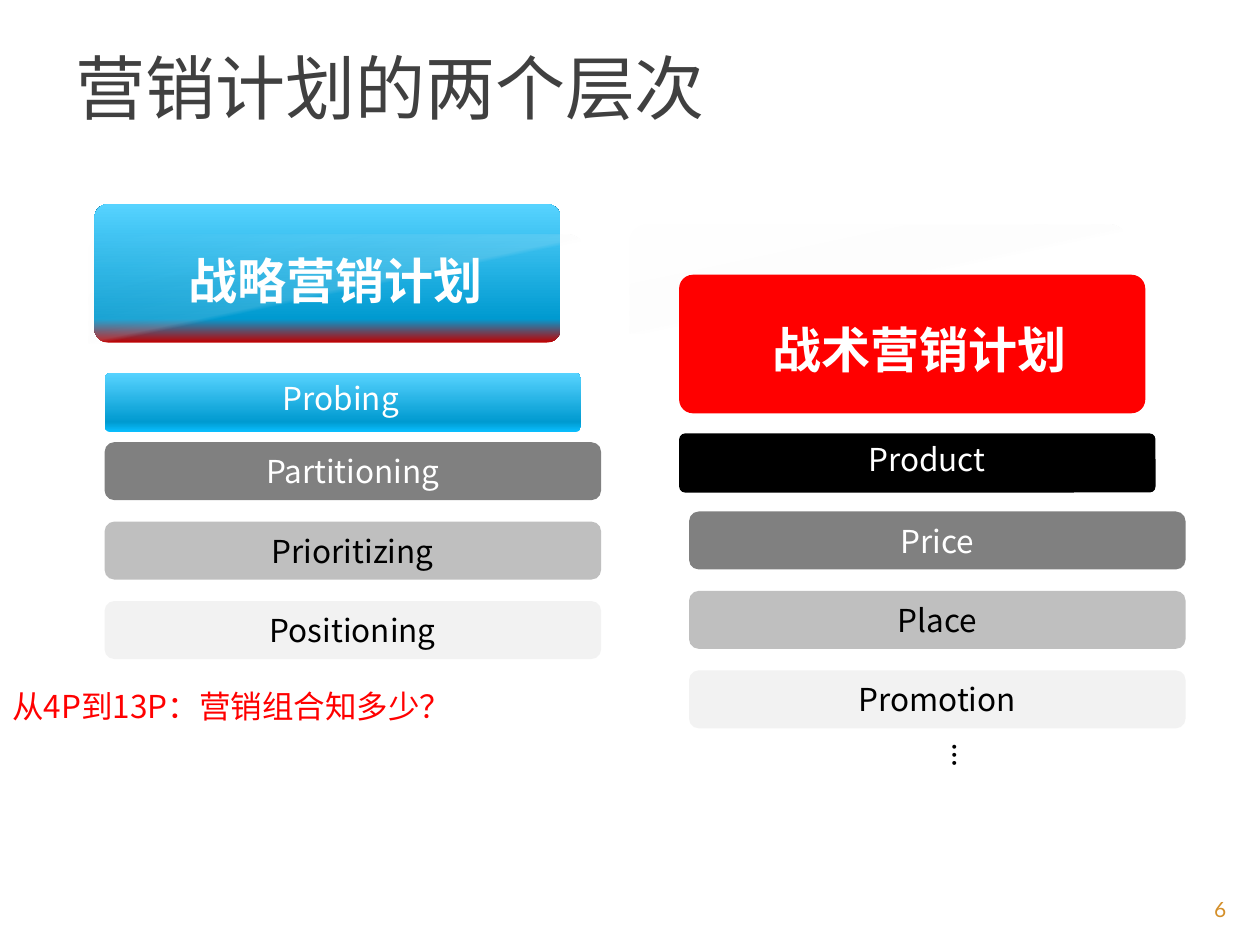
"""Build the slide on the two levels of a marketing plan."""
from lxml import etree
from pptx import Presentation
from pptx.dml.color import RGBColor
from pptx.enum.shapes import MSO_SHAPE
from pptx.enum.text import MSO_ANCHOR, PP_ALIGN
from pptx.oxml.ns import qn
from pptx.util import Pt

ROUNDED, TOP_ROUNDED = MSO_SHAPE.ROUNDED_RECTANGLE, MSO_SHAPE.ROUND_2_SAME_RECTANGLE
LEFT, CENTER, RIGHT = PP_ALIGN.LEFT, PP_ALIGN.CENTER, PP_ALIGN.RIGHT
TOP, MIDDLE = MSO_ANCHOR.TOP, MSO_ANCHOR.MIDDLE

WHITE = RGBColor(0xFF, 0xFF, 0xFF)
BLACK = RGBColor(0x00, 0x00, 0x00)
RED = RGBColor(0xFF, 0x00, 0x00)
DARK_RED = RGBColor(0xC0, 0x00, 0x00)
INK = RGBColor(0x40, 0x40, 0x40)
ORANGE = RGBColor(0xD4, 0x8F, 0x29)
BLUE = RGBColor(0x00, 0x9A, 0xD0)
BRIGHT_BLUE = RGBColor(0x09, 0xBF, 0xFF)
SKY = RGBColor(0x57, 0xD3, 0xFF)
SMOKE = RGBColor(0xF5, 0xF5, 0xF5)
DARK_GRAY = RGBColor(0x80, 0x80, 0x80)
MID_GRAY = RGBColor(0xBF, 0xBF, 0xBF)
PALE_GRAY = RGBColor(0xF2, 0xF2, 0xF2)

CJK, LATIN = "Noto Sans CJK SC", "Lato"
HEADER_GRADIENT = (270, [(0, DARK_RED, 100), (17, BLUE, 100), (100, SKY, 100)])
BAR_GRADIENT = (270, [(0, BRIGHT_BLUE, 100), (17, BLUE, 100), (100, SKY, 100)])
GLOSS_GRADIENT = (78, [(0, WHITE, 0), (50, SMOKE, 14), (52, WHITE, 0)])


def write_text(holder, text, size=18, color=BLACK, font=CJK, bold=False,
               align=CENTER, anchor=TOP, wrap=True):
    frame = holder.text_frame
    frame.word_wrap = wrap
    frame.vertical_anchor = anchor
    paragraph = frame.paragraphs[0]
    paragraph.alignment = align
    run = paragraph.add_run()
    run.text = text
    run.font.size = Pt(size)
    run.font.bold = bold
    run.font.color.rgb = color
    run.font.name = font
    etree.SubElement(run.font._element, qn("a:ea"), typeface=font)


def add_panel(kind, box, fill, corner=None):
    panel = slide.shapes.add_shape(kind, *map(Pt, box))
    panel.shadow.inherit = False
    panel.line.fill.background()
    if corner is not None:
        panel.adjustments[0] = corner
    if isinstance(fill, RGBColor):
        panel.fill.solid()
        panel.fill.fore_color.rgb = fill
        return panel
    angle, stops = fill
    panel.fill.gradient()
    gradient = panel._element.spPr.find(qn("a:gradFill"))
    for child in list(gradient):
        gradient.remove(child)
    stop_list = etree.SubElement(gradient, qn("a:gsLst"))
    for position, color, opacity in stops:
        stop = etree.SubElement(stop_list, qn("a:gs"), pos=str(position * 1000))
        shade = etree.SubElement(stop, qn("a:srgbClr"), val=str(color))
        etree.SubElement(shade, qn("a:alpha"), val=str(opacity * 1000))
    etree.SubElement(gradient, qn("a:lin"), ang=str(angle * 60000), scaled="0")
    return panel


presentation = Presentation()
presentation.slide_width, presentation.slide_height = Pt(720), Pt(540)
slide = presentation.slides.add_slide(presentation.slide_layouts[5])

title = slide.shapes.title
title.left, title.top, title.width, title.height = Pt(36), Pt(21.6), Pt(648), Pt(55.4)
write_text(title, "营销计划的两个层次", size=40, color=INK, align=LEFT, anchor=MIDDLE)

header_size, gloss_size, bar_size = (266.4, 79.2), (283.7, 62.6), (272.2, 33.8)
backdrops = [
    (ROUNDED, (54, 116.6, *header_size), HEADER_GRADIENT, 0.1),
    (TOP_ROUNDED, (50.4, 133.9, *gloss_size), GLOSS_GRADIENT, None),
    (TOP_ROUNDED, (360, 128.2, *gloss_size), GLOSS_GRADIENT, None),
    (ROUNDED, (388.1, 157, *header_size), RED, 0.1),
    (ROUNDED, (59.8, 213.1, *bar_size), BAR_GRADIENT, 0.1),
    (ROUNDED, (388.1, 247.7, *bar_size), BLACK, 0.1),
]
for backdrop in backdrops:
    add_panel(*backdrop)

pill_styles = [(DARK_GRAY, WHITE), (MID_GRAY, BLACK), (PALE_GRAY, BLACK)]
pill_columns = [
    (59.8, 252.7, ["Partitioning", "Prioritizing", "Positioning"]),
    (393.8, 292.3, ["Price", "Place", "Promotion"]),
]
for left, top, steps in pill_columns:
    for row, (step, (fill, ink)) in enumerate(zip(steps, pill_styles)):
        pill = add_panel(ROUNDED, (left, top + row * 45.4, 283.7, 33.1), fill)
        write_text(pill, step, color=ink, anchor=MIDDLE)

heading = dict(size=28, color=WHITE, bold=True, wrap=False)
labels = [
    ("战略营销计划", (99.4, 139.7, 184.3, 41), heading),
    ("战术营销计划", (433.4, 179.3, 184.3, 41), heading),
    ("Probing", (121.7, 213.1, 146.2, 28.8), dict(color=WHITE)),
    ("Product", (488.2, 247.7, 82.8, 28.8), dict(color=WHITE, wrap=False)),
    ("从4P到13P：营销组合知多少？", (0, 388.8, 720, 28.8), dict(color=RED, align=LEFT)),
    ("6", (648, 509.8, 59.8, 19.4),
     dict(size=12, color=ORANGE, font=LATIN, align=RIGHT, anchor=MIDDLE)),
]
for text, box, style in labels:
    write_text(slide.shapes.add_textbox(*map(Pt, box)), text, **style)

ellipsis = slide.shapes.add_textbox(Pt(529.9), Pt(417.6), Pt(36), Pt(33.8))
write_text(ellipsis, "…", font=LATIN, align=LEFT)
ellipsis.text_frame._txBody.bodyPr.set("vert", "eaVert")

presentation.save("out.pptx")
